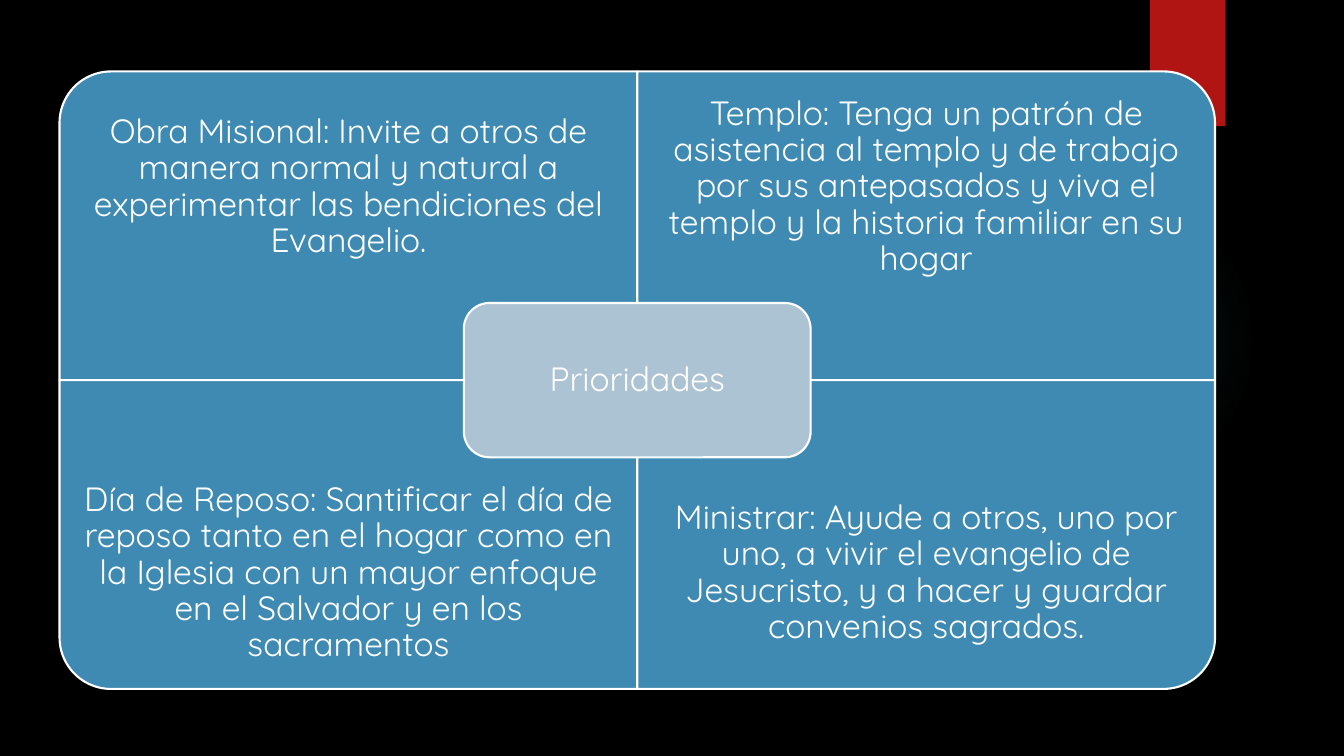
from pptx import Presentation, oxml
from pptx.dml.color import RGBColor
from pptx.enum import shapes, text
from pptx.oxml import ns
from pptx.util import Cm, Pt

BLACK = RGBColor(0x00, 0x00, 0x00)
WHITE = RGBColor(0xFF, 0xFF, 0xFF)
BLUE = RGBColor(0x3E, 0x8A, 0xB3)
PALE = RGBColor(0xAC, 0xC3, 0xD4)
RED = RGBColor(0xB0, 0x15, 0x13)
TEAL = RGBColor(0x50, 0xB9, 0xC1)

FONT = "Quicksand"
KIND = shapes.MSO_SHAPE
LEFT, TOP = 1.5, 1.8
WIDE, HIGH = 14.56, 7.78
BAND = 5.83
HUB_W, HUB_H = 8.74, 3.89

# column, row, turn, wording
CELLS = [
    (0, 0, 270, "Obra Misional: Invite a otros de manera normal y natural a "
     "experimentar las bendiciones del Evangelio."),
    (1, 0, 0, "Templo: Tenga un patrón de asistencia al templo y de trabajo "
     "por sus antepasados y viva el templo y la historia familiar en su hogar"),
    (0, 1, 180, "Día de Reposo: Santificar el día de reposo tanto en el hogar "
     "como en la Iglesia con un mayor enfoque en el Salvador y en los "
     "sacramentos"),
    (1, 1, 90, "Ministrar: Ayude a otros, uno por uno, a vivir el evangelio de "
     "Jesucristo, y a hacer y guardar convenios sagrados."),
]


def add_form(slide, kind, x, y, w, h, fill=None, line=None):
    form = slide.shapes.add_shape(kind, Cm(x), Cm(y), Cm(w), Cm(h))
    form.shadow.inherit = False
    if fill is not None:
        form.fill.solid()
        form.fill.fore_color.rgb = fill
    if line is None:
        form.line.fill.background()
    else:
        form.line.color.rgb = line
        form.line.width = Pt(1.5)
    return form


def write(form, words, inset):
    frame = form.text_frame
    frame.word_wrap = True
    frame.vertical_anchor = text.MSO_ANCHOR.MIDDLE
    frame.margin_left = frame.margin_right = Cm(inset)
    frame.margin_top = frame.margin_bottom = Cm(inset)
    para = frame.paragraphs[0]
    para.alignment = text.PP_ALIGN.CENTER
    para.line_spacing = 0.9
    run = para.add_run()
    run.text = words
    run.font.name = FONT
    run.font.size = Pt(24)
    run.font.color.rgb = WHITE


def add_glow(slide):
    glow = add_form(slide, KIND.OVAL, 23.9, 4.65, 7.82, 7.82)
    stops = "".join(
        f'<a:gs pos="{pos}000"><a:srgbClr val="{TEAL}">'
        f'<a:alpha val="{alpha}000"/></a:srgbClr></a:gs>'
        for pos, alpha in [(0, 7), (36, 6), (69, 0)])
    grad = oxml.parse_xml(
        f'<a:gradFill {ns.nsdecls("a")}><a:gsLst>{stops}</a:gsLst>'
        '<a:path path="circle"><a:fillToRect l="50000" t="50000" '
        'r="50000" b="50000"/></a:path></a:gradFill>')
    glow.element.spPr.find(ns.qn("a:prstGeom")).addnext(grad)


def add_tab(slide):
    tab = add_form(slide, KIND.RECTANGLE, 28.98, 0, 1.9, 3.18, RED)
    shade = oxml.parse_xml(
        f'<a:outerShdw {ns.nsdecls("a")} blurRad="{Pt(3)}" dist="{Pt(2)}" '
        f'dir="5400000" rotWithShape="0"><a:srgbClr val="{BLACK}">'
        '<a:alpha val="45000"/></a:srgbClr></a:outerShdw>')
    tab.element.spPr.find(ns.qn("a:effectLst")).append(shade)


def add_cell(slide, col, row, turn, words):
    x, y = LEFT + col * WIDE, TOP + row * HIGH
    w, h = (HIGH, WIDE) if turn % 180 else (WIDE, HIGH)
    cell = add_form(slide, KIND.ROUND_1_RECTANGLE, x + (WIDE - w) / 2,
                    y + (HIGH - h) / 2, w, h, BLUE, WHITE)
    cell.rotation = turn
    box = slide.shapes.add_textbox(
        Cm(x), Cm(y + row * (HIGH - BAND)), Cm(WIDE), Cm(BAND))
    write(box, words, 0.48)


def add_hub(slide):
    hub = add_form(slide, KIND.ROUNDED_RECTANGLE, LEFT + WIDE - HUB_W / 2,
                   TOP + HIGH - HUB_H / 2, HUB_W, HUB_H, PALE, WHITE)
    write(hub, "Prioridades", 0.25)


def main():
    deck = Presentation()
    deck.slide_width, deck.slide_height = Cm(33.87), Cm(19.05)
    slide = deck.slides.add_slide(deck.slide_layouts[6])
    slide.background.fill.solid()
    slide.background.fill.fore_color.rgb = BLACK
    add_glow(slide)
    add_tab(slide)
    for cell in CELLS:
        add_cell(slide, *cell)
    add_hub(slide)
    deck.save("out.pptx")


if __name__ == "__main__":
    main()
